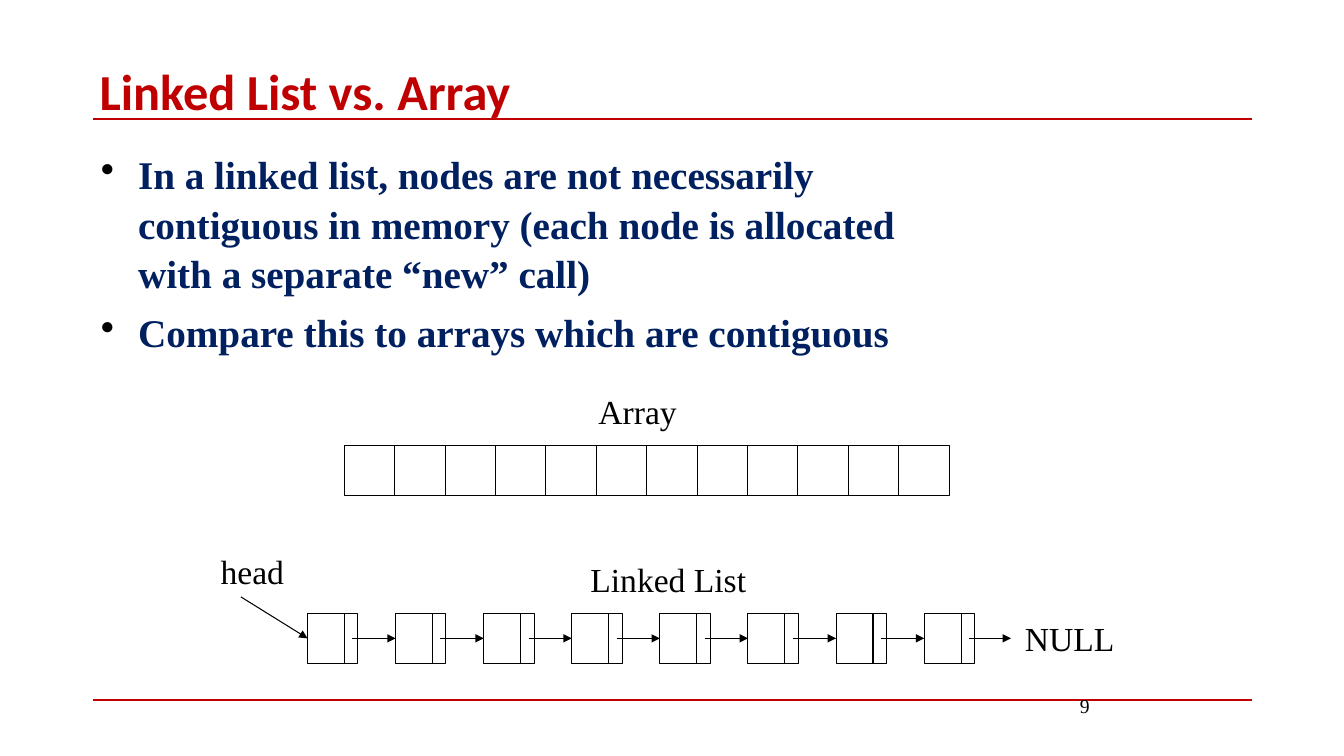
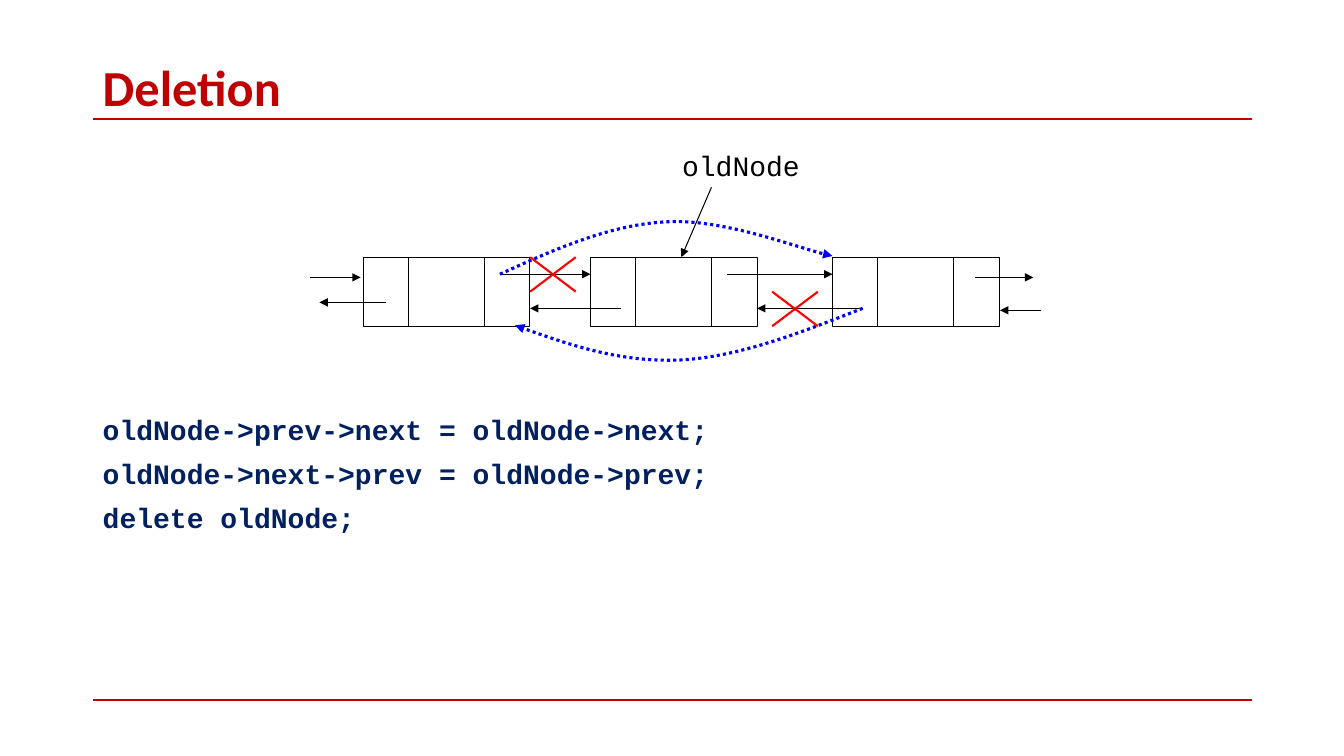
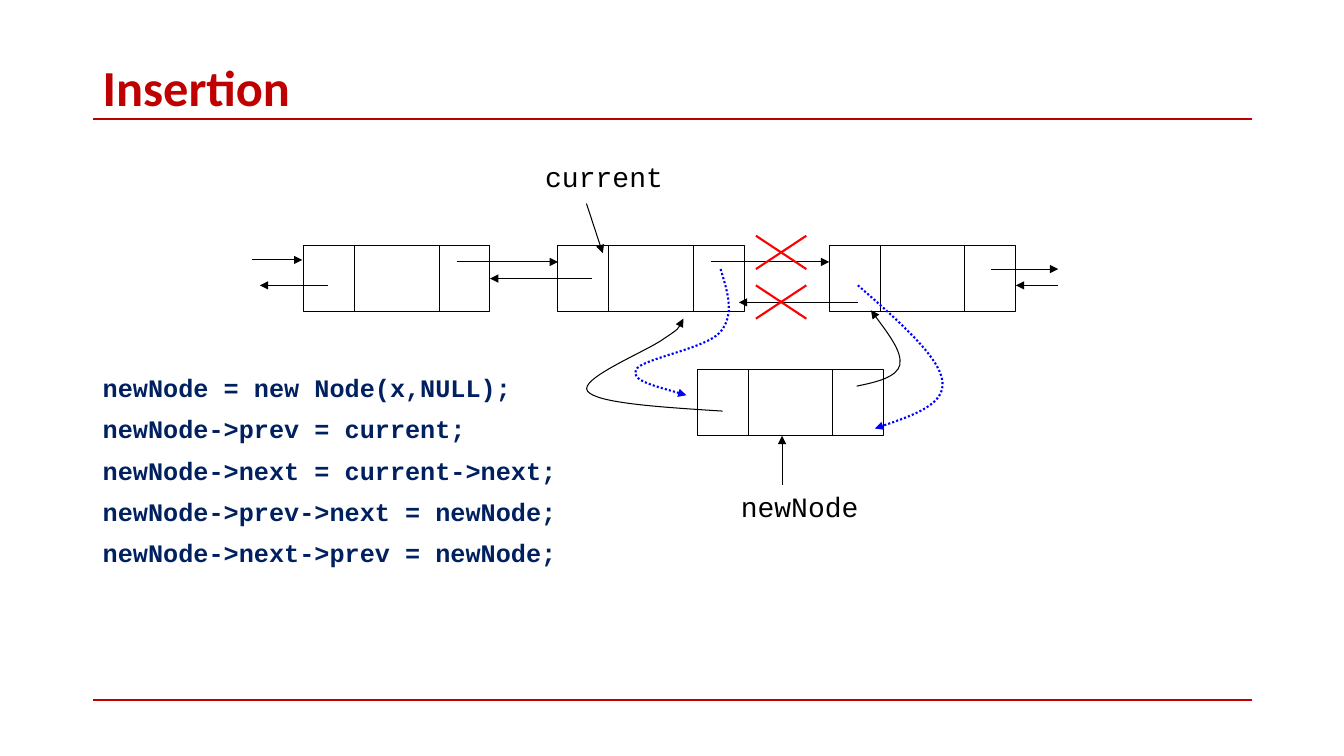
import dataclasses
import typing

import lxml.etree
import pptx
import pptx.dml.color
import pptx.enum.dml
import pptx.enum.shapes
import pptx.enum.text
import pptx.oxml.ns
import pptx.util

Cm = pptx.util.Cm
Pt = pptx.util.Pt
qn = pptx.oxml.ns.qn
Align = pptx.enum.text.PP_ALIGN
Point = tuple[float, float]

COLORS = {
    "accent": "C00000",
    "body": "002060",
    "ink": "000000",
    "paper": "FFFFFF",
    "new_link": "0000FF",
    "removed": "FF0000",
}


@dataclasses.dataclass(frozen=True)
class TextStyle:
    font: dict[str, typing.Any]
    color: str = "ink"
    paragraph: dict[str, typing.Any] = dataclasses.field(default_factory=dict)
    frame: dict[str, typing.Any] = dataclasses.field(default_factory=lambda: {"word_wrap": True})
    space_before: float = 0
    hanging: float = 0
    bullet: str = ""


@dataclasses.dataclass(frozen=True)
class Stroke:
    color: str = "ink"
    width: float = 0.75
    arrow: bool = False
    dotted: bool = False


class Box(typing.NamedTuple):
    left: float
    top: float
    width: float
    height: float


class Label(typing.NamedTuple):
    text: str
    box: Box


class Arrow(typing.NamedTuple):
    start: Point
    end: Point


class Curve(typing.NamedTuple):
    stroke: Stroke
    points: list[Point]


def code_style(size: int) -> TextStyle:
    return TextStyle(
        {"name": "Courier New", "size": Pt(size), "bold": True}, "body",
        {"alignment": Align.JUSTIFY, "line_spacing": 0.9}, space_before=10, hanging=0.64)


TITLE = TextStyle(
    {"name": "Calibri", "size": Pt(36), "bold": True}, "accent", {"line_spacing": 0.9},
    {"word_wrap": True, "vertical_anchor": pptx.enum.text.MSO_ANCHOR.MIDDLE})
BODY = TextStyle(
    {"name": "Times New Roman", "size": Pt(28), "bold": True}, "body",
    {"line_spacing": 1.05}, space_before=7, hanging=0.94, bullet="•")
CAPTION = TextStyle(
    {"name": "Times New Roman", "size": Pt(24)},
    frame={"word_wrap": False, "auto_size": pptx.enum.text.MSO_AUTO_SIZE.SHAPE_TO_FIT_TEXT})
PAGE_NUMBER = TextStyle(
    {"name": "Times New Roman", "size": Pt(14)}, paragraph={"alignment": Align.RIGHT})
VARIABLE = TextStyle({"name": "Courier New", "size": Pt(20)})

OUTLINE = Stroke()
LINK = Stroke(arrow=True)
RULE = Stroke("accent", 1.5)
CROSS = Stroke("removed", 1.5)
BOLD_NEW_LINK = Stroke("new_link", 2.25, arrow=True, dotted=True)
NEW_LINK = Stroke("new_link", 1.5, arrow=True, dotted=True)


def rgb(name: str) -> pptx.dml.color.RGBColor:
    return pptx.dml.color.RGBColor.from_string(COLORS[name])


def apply(target: typing.Any, values: dict[str, typing.Any]) -> None:
    for attribute, value in values.items():
        setattr(target, attribute, value)


def apply_stroke(line: typing.Any, stroke: Stroke) -> None:
    line.color.rgb = rgb(stroke.color)
    line.width = Pt(stroke.width)
    if stroke.dotted:
        line.dash_style = pptx.enum.dml.MSO_LINE.ROUND_DOT
    if stroke.arrow:
        lxml.etree.SubElement(line._get_or_add_ln(), qn("a:tailEnd"), type="triangle")


def add_text(slide: typing.Any, box: Box, lines: list[str], style: TextStyle) -> None:
    frame = slide.shapes.add_textbox(*map(Cm, box)).text_frame
    apply(frame, style.frame)
    for index, text in enumerate(lines):
        paragraph = frame.add_paragraph() if index else frame.paragraphs[0]
        properties = paragraph._p.get_or_add_pPr()
        if style.hanging:
            properties.set("marL", str(Cm(style.hanging)))
            properties.set("indent", str(-Cm(style.hanging)))
        if style.bullet:
            bullet_color = lxml.etree.SubElement(properties, qn("a:buClr"))
            lxml.etree.SubElement(bullet_color, qn("a:srgbClr"), val=COLORS["ink"])
            lxml.etree.SubElement(properties, qn("a:buChar"), char=style.bullet)
        apply(paragraph, style.paragraph)
        if index:
            paragraph.space_before = Pt(style.space_before)
        run = paragraph.add_run()
        run.text = text
        apply(run.font, style.font)
        run.font.color.rgb = rgb(style.color)


def add_line(shapes: typing.Any, start: Point, end: Point, stroke: Stroke) -> typing.Any:
    connector = shapes.add_connector(
        pptx.enum.shapes.MSO_CONNECTOR.STRAIGHT, *map(Cm, start + end))
    apply_stroke(connector.line, stroke)
    lxml.etree.SubElement(connector._element.spPr, qn("a:effectLst"))
    return connector


def add_cell(shapes: typing.Any, box: Box, filled: bool = False) -> typing.Any:
    cell = shapes.add_shape(pptx.enum.shapes.MSO_SHAPE.RECTANGLE, *map(Cm, box))
    cell.shadow.inherit = False
    if filled:
        cell.fill.solid()
        cell.fill.fore_color.rgb = rgb("paper")
    else:
        cell.fill.background()
    apply_stroke(cell.line, OUTLINE)
    return cell


def add_node(slide: typing.Any, box: Box) -> typing.Any:
    shapes = slide.shapes.add_group_shape().shapes
    cell = add_cell(shapes, box, filled=True)
    for share in (3 / 11, 8 / 11):
        x = box.left + box.width * share
        add_line(shapes, (x, box.top), (x, box.top + box.height), OUTLINE)
    return cell


def add_cross(slide: typing.Any, box: Box) -> None:
    shapes = slide.shapes.add_group_shape().shapes
    right, bottom = box.left + box.width, box.top + box.height
    add_line(shapes, (right, box.top), (box.left, bottom), CROSS)
    add_line(shapes, (box.left, box.top), (right, bottom), CROSS)


def add_curve(slide: typing.Any, curve: Curve) -> None:
    start, *controls = [(Cm(x), Cm(y)) for x, y in curve.points]
    builder = slide.shapes.build_freeform(*start)
    builder.add_line_segments(controls, close=False)
    shape = builder.convert_to_shape()
    segments = list(shape._element.iter(qn("a:lnTo")))
    for first in range(0, len(segments), 3):
        bezier = lxml.etree.Element(qn("a:cubicBezTo"))
        segments[first].addprevious(bezier)
        for segment in segments[first:first + 3]:
            bezier.append(segment[0])
            segment.getparent().remove(segment)
    shape.shadow.inherit = False
    shape.fill.background()
    apply_stroke(shape.line, curve.stroke)


def add_base(deck: typing.Any, title: str, left: float = 2.34, top: float = 1.55) -> typing.Any:
    slide = deck.slides.add_slide(deck.slide_layouts[6])
    for y in (3, 17.65):
        add_line(slide.shapes, (2.34, y), (31.55, y), RULE)
    add_text(slide, Box(left, top, 29.21, 1.47), [title], TITLE)
    return slide


def add_comparison(deck: typing.Any) -> None:
    slide = add_base(deck, "Linked List vs. Array", 2.26, 1.65)
    add_text(slide, Box(22.43, 17.35, 5.28, 1.27), ["9"], PAGE_NUMBER)
    add_text(slide, Box(2.29, 3.61, 21.59, 13.34), [
        "In a linked list, nodes are not necessarily contiguous in memory "
        "(each node is allocated with a separate “new” call)",
        "Compare this to arrays which are contiguous",
    ], BODY)
    for label in (
        Label("Array", Box(14.83, 9.73, 2.49, 1.27)),
        Label("NULL", Box(25.58, 15.45, 2.79, 1.27)),
        Label("head", Box(5.31, 13.77, 2.11, 1.27)),
        Label("Linked List", Box(14.63, 13.97, 4.45, 1.27)),
    ):
        add_text(slide, label.box, [label.text], CAPTION)

    side = 1.27
    for index in range(12):
        add_cell(slide.shapes, Box(8.68 + index * side, 11.22, side, side))

    first_left, pitch, top = 7.75, 2.22, 15.45
    middle = top + side / 2
    lefts = [first_left + index * pitch for index in range(8)]
    nodes = [add_cell(slide.shapes, Box(left, top, side, side)) for left in lefts]
    head = add_line(slide.shapes, (6.07, 15.04), (first_left, middle), LINK)
    head.end_connect(nodes[0], 1)
    for left, following in zip(lefts, nodes[1:] + [None]):
        add_line(slide.shapes, (left + 0.93, top), (left + 0.93, top + side), OUTLINE)
        pointer = add_line(slide.shapes, (left + 1.13, middle), (left + 2.19, middle), LINK)
        if following is not None:
            pointer.end_connect(following, 1)


def add_list_diagram(
    slide: typing.Any, nodes: list[Box], arrows: list[Arrow], curves: list[Curve],
    crosses: list[Box], labels: list[Label],
) -> list[typing.Any]:
    cells = [add_node(slide, node) for node in nodes]
    for arrow in arrows:
        add_line(slide.shapes, arrow.start, arrow.end, LINK)
    for curve in curves:
        add_curve(slide, curve)
    for cross in crosses:
        add_cross(slide, cross)
    for label in labels:
        add_text(slide, label.box, [label.text], VARIABLE)
    return cells


def add_deletion(deck: typing.Any) -> None:
    slide = add_base(deck, "Deletion")
    add_text(slide, Box(2.34, 10.36, 20.32, 6.81), [
        "oldNode->prev->next = oldNode->next;",
        "oldNode->next->prev = oldNode->prev;",
        "delete oldNode;",
    ], code_style(20))
    add_list_diagram(
        slide,
        nodes=[Box(left, 6.48, 4.2, 1.74) for left in (9.15, 14.88, 20.98)],
        arrows=[
            Arrow((17.93, 4.72), (17.17, 6.48)),
            Arrow((12.6, 6.91), (14.88, 6.91)),
            Arrow((15.65, 7.77), (13.36, 7.77)),
            Arrow((18.31, 6.91), (20.98, 6.91)),
            Arrow((21.74, 7.77), (19.08, 7.77)),
            Arrow((7.82, 6.99), (9.09, 6.99)),
            Arrow((9.73, 7.62), (8.05, 7.62)),
            Arrow((26.24, 7.82), (25.2, 7.82)),
            Arrow((24.56, 6.99), (26.04, 6.99)),
        ],
        curves=[
            Curve(BOLD_NEW_LINK, [
                (12.6, 6.91), (14, 6.27), (15.39, 5.66), (16.79, 5.59),
                (18.19, 5.51), (20.29, 6.32), (20.98, 6.45)]),
            Curve(BOLD_NEW_LINK, [
                (21.74, 7.77), (20.19, 8.38), (18.64, 8.99), (17.17, 9.07),
                (15.7, 9.14), (14.33, 8.69), (12.98, 8.2)]),
        ],
        crosses=[Box(13.36, 6.48, 1.15, 0.87), Box(19.46, 7.35, 1.15, 0.87)],
        labels=[Label("oldNode", Box(16.94, 3.61, 3.61, 1.3))],
    )


def add_insertion(deck: typing.Any) -> None:
    slide = add_base(deck, "Insertion")
    add_text(slide, Box(2.34, 9.35, 20.32, 7.82), [
        "newNode = new Node(x,NULL);",
        "newNode->prev = current;",
        "newNode->next = current->next;",
        "newNode->prev->next = newNode;",
        "newNode->next->prev = newNode;",
    ], code_style(18))
    corners = [(7.65, 6.19), (14.06, 6.19), (20.9, 6.19), (17.57, 9.32)]
    cells = add_list_diagram(
        slide,
        nodes=[Box(left, top, 4.7, 1.66) for left, top in corners],
        arrows=[
            Arrow((11.51, 6.6), (14.06, 6.6)),
            Arrow((17.91, 6.6), (20.9, 6.6)),
            Arrow((21.62, 7.62), (18.62, 7.62)),
            Arrow((14.78, 5.13), (15.19, 6.38)),
            Arrow((19.71, 12.22), (19.71, 10.98)),
            Arrow((24.97, 6.78), (26.67, 6.78)),
            Arrow((6.35, 6.55), (7.62, 6.55)),
            Arrow((26.67, 7.19), (25.6, 7.19)),
            Arrow((8.26, 7.19), (6.55, 7.19)),
        ],
        curves=[
            Curve(NEW_LINK, [
                (18.16, 6.78), (18.34, 7.37), (18.52, 7.92), (18.16, 8.36),
                (17.81, 8.79), (16.15, 9.04), (16.03, 9.32),
                (15.88, 9.58), (16.59, 9.75), (17.3, 9.96)]),
            Curve(LINK, [
                (18.21, 10.36), (16.64, 10.26), (15.04, 10.16), (14.81, 9.86),
                (14.55, 9.55), (16.33, 8.84), (16.74, 8.53),
                (17.15, 8.26), (17.2, 8.13), (17.22, 8.03)]),
            Curve(LINK, [
                (21.59, 9.73), (22.1, 9.63), (22.61, 9.5), (22.68, 9.19),
                (22.73, 8.86), (22.35, 8.36), (21.95, 7.82)]),
            Curve(NEW_LINK, [
                (21.62, 7.19), (22.66, 8.1), (23.67, 8.99), (23.75, 9.6),
                (23.83, 10.19), (22.94, 10.49), (22.05, 10.8)]),
        ],
        crosses=[Box(19.05, top, 1.27, 0.84) for top in (7.19, 5.94)],
        labels=[
            Label("current", Box(13.49, 3.89, 5.13, 1.24)),
            Label("newNode", Box(18.42, 12.22, 6.35, 0.97)),
        ],
    )
    current_prev = add_line(slide.shapes, (14.91, 7.02), (12.35, 7.02), LINK)
    current_prev.end_connect(cells[0], 3)


def main() -> None:
    deck = pptx.Presentation()
    apply(deck, {"slide_width": Cm(33.87), "slide_height": Cm(19.05)})
    for add_slide in (add_comparison, add_deletion, add_insertion):
        add_slide(deck)
    deck.save("out.pptx")


if __name__ == "__main__":
    main()
